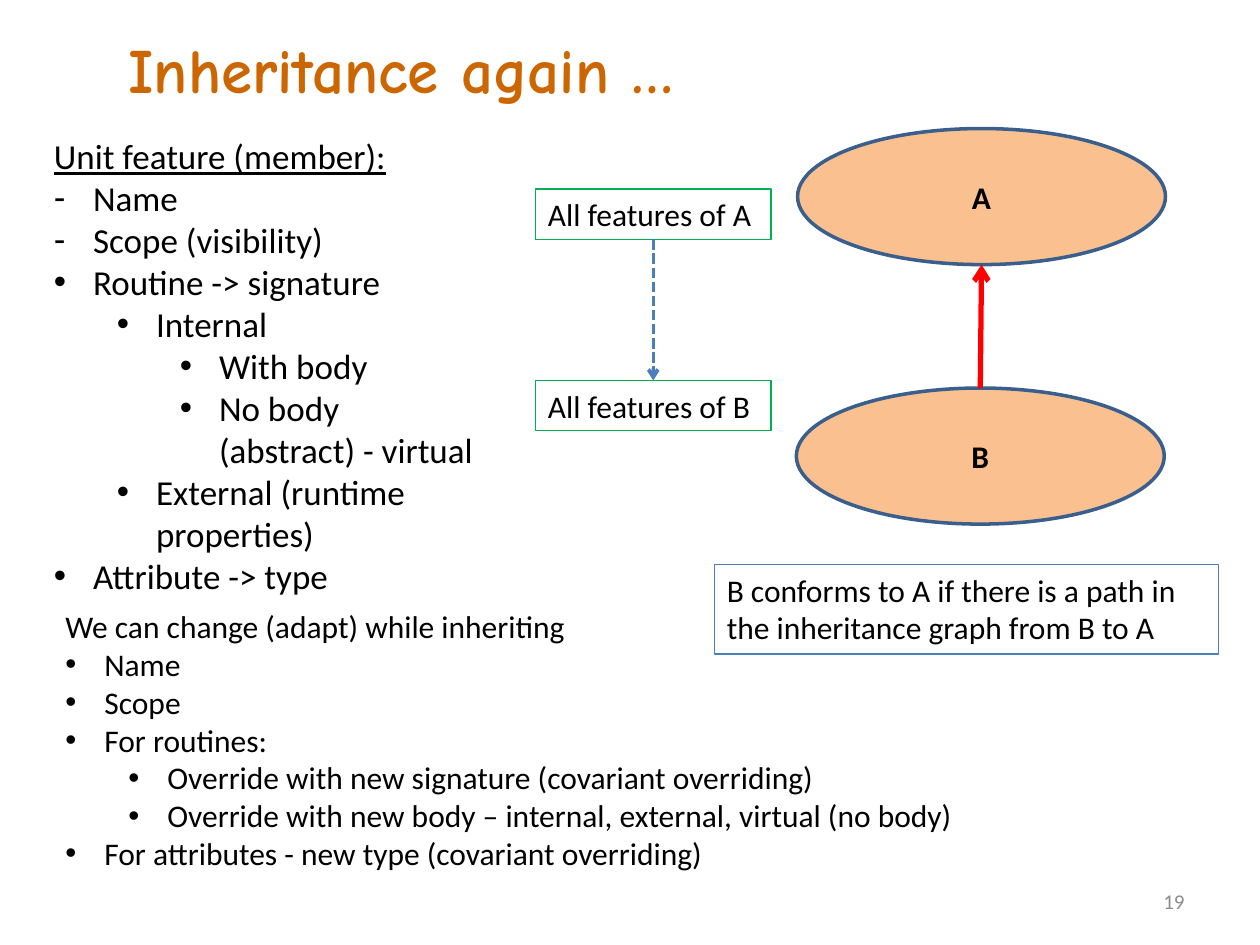
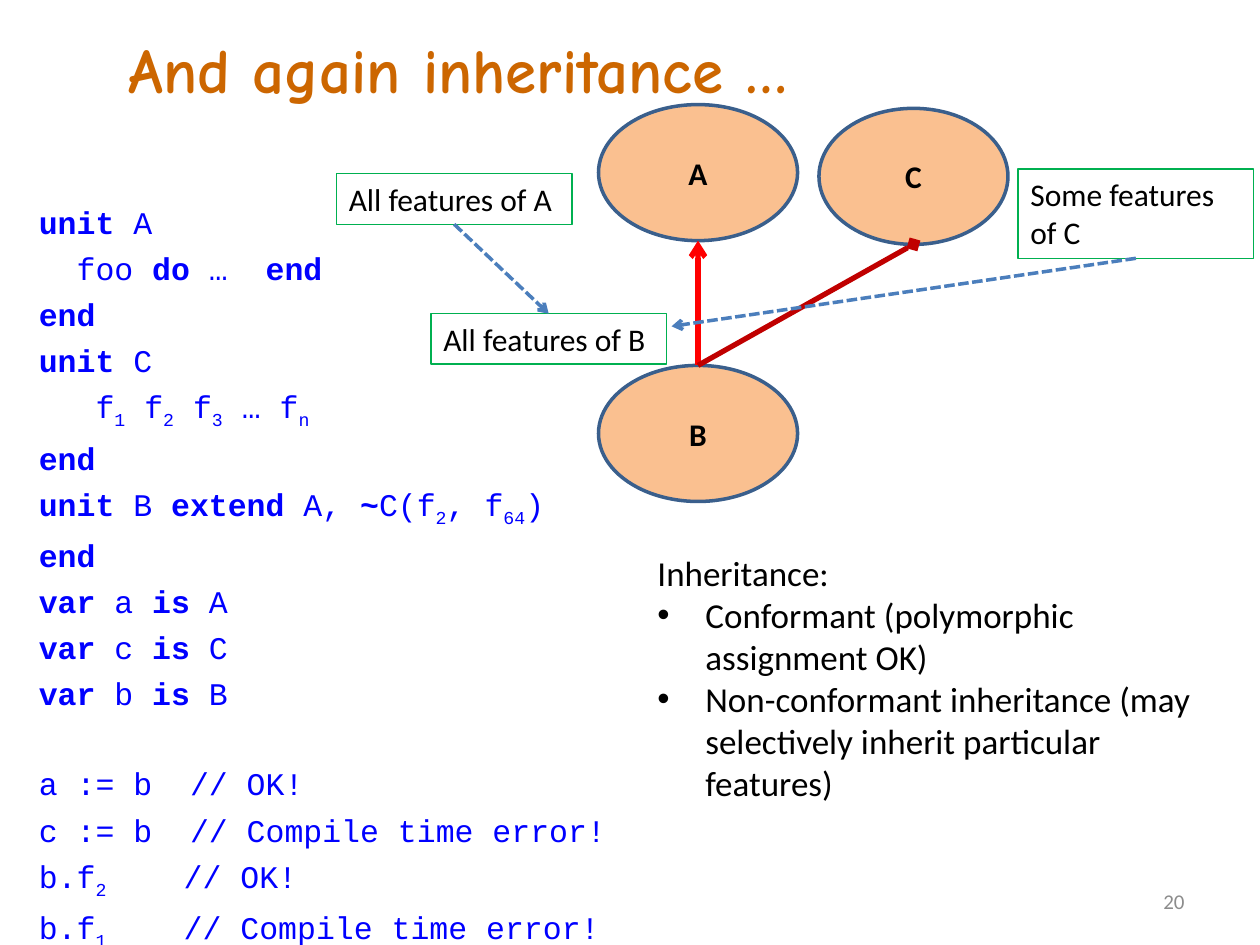
from dataclasses import dataclass
from typing import NamedTuple, Optional

import pptx
import pptx.dml.color
import pptx.enum.dml
import pptx.enum.shapes
import pptx.enum.text
import pptx.oxml.ns
import pptx.util
from lxml import etree

COLUMNS, ROWS = 100, 75
WIDTH, HEIGHT = pptx.util.Inches(10), pptx.util.Inches(7.5)
ALIGN = pptx.enum.text.PP_ALIGN
ANCHOR = pptx.enum.text.MSO_ANCHOR
DASH = pptx.enum.dml.MSO_LINE


@dataclass(frozen=True)
class Theme:
    body_font: str = "Calibri"
    title_font: str = "Comic Neue"
    code_font: str = "Courier New"
    title: str = "CC6600"
    text: str = "000000"
    code: str = "0000FF"
    page: str = "8C8C8C"
    node: str = "FAC090"
    node_edge: str = "3A5F8C"
    feature_edge: str = "00B050"
    flow: str = "4B7EBC"
    inherit: str = "FF0000"
    non_conformant: str = "C00000"
    title_size: float = 36
    list_size: float = 20
    body_size: float = 18
    page_size: float = 12
    code_gap: float = 4.75
    code_line: float = 20.4
    thin: float = 0.75
    medium: float = 2
    thick: float = 3


THEME = Theme()


class Point(NamedTuple):
    x: float
    y: float


class Box(NamedTuple):
    """A rectangle in grid columns and rows."""
    left: float
    top: float
    width: float
    height: float

    def upper(self) -> Point:
        return Point(self.left + self.width / 2, self.top)

    def lower(self) -> Point:
        return Point(self.left + self.width / 2, self.top + self.height)


class Style(NamedTuple):
    size: float = THEME.body_size
    color: str = THEME.text
    font: str = THEME.body_font
    bold: bool = False
    underline: bool = False


class Item(NamedTuple):
    text: str
    level: int = 0
    bullet: str = "•"


class Node(NamedTuple):
    name: str
    box: Box


class Label(NamedTuple):
    text: str
    box: Box
    edge: str = THEME.feature_edge


class Arrow(NamedTuple):
    start: Point
    end: Point
    color: str = THEME.flow
    width: float = THEME.medium
    head: str = "arrow"
    dashed: bool = True


class Bullets(NamedTuple):
    heading: str
    items: list[Item]
    box: Box
    size: float = THEME.body_size
    indent: float = 0.31
    underline: bool = False


class Page(NamedTuple):
    title: str
    number: int
    nodes: list[Node]
    labels: list[Label]
    arrows: list[Arrow]
    lists: list[Bullets]
    code: Optional[str] = None


def x(columns: float) -> int:
    return round(WIDTH * columns / COLUMNS)


def y(rows: float) -> int:
    return round(HEIGHT * rows / ROWS)


def place(box: Box) -> tuple[int, int, int, int]:
    return x(box.left), y(box.top), x(box.width), y(box.height)


def rgb(color: str) -> pptx.dml.color.RGBColor:
    return pptx.dml.color.RGBColor.from_string(color)


def set_line(line, color: str, width: float) -> None:
    line.color.rgb = rgb(color)
    line.width = pptx.util.Pt(width)


def add_run(p, text: str, style: Style):
    r = p.add_run()
    r.text = text
    r.font.name = style.font
    r.font.size = pptx.util.Pt(style.size)
    r.font.bold = style.bold
    r.font.underline = style.underline
    r.font.color.rgb = rgb(style.color)
    return r


def add_text(slide, box: Box, text: str, style: Style,
             align=ALIGN.LEFT, anchor=ANCHOR.TOP):
    sp = slide.shapes.add_textbox(*place(box))
    tf = sp.text_frame
    tf.word_wrap = True
    tf.vertical_anchor = anchor
    p = tf.paragraphs[0]
    p.alignment = align
    if text:
        add_run(p, text, style)
    return sp


def add_node(slide, node: Node) -> None:
    sp = slide.shapes.add_shape(pptx.enum.shapes.MSO_SHAPE.OVAL, *place(node.box))
    sp.shadow.inherit = False
    sp.fill.solid()
    sp.fill.fore_color.rgb = rgb(THEME.node)
    set_line(sp.line, THEME.node_edge, THEME.medium)
    tf = sp.text_frame
    tf.vertical_anchor = ANCHOR.MIDDLE
    p = tf.paragraphs[0]
    p.alignment = ALIGN.CENTER
    add_run(p, node.name, Style(bold=True))


def add_label(slide, label: Label) -> None:
    sp = add_text(slide, label.box, label.text, Style())
    set_line(sp.line, label.edge, THEME.thin)


def add_arrow(slide, arrow: Arrow) -> None:
    (x1, y1), (x2, y2) = arrow.start, arrow.end
    sp = slide.shapes.add_connector(
        pptx.enum.shapes.MSO_CONNECTOR.STRAIGHT, x(x1), y(y1), x(x2), y(y2))
    set_line(sp.line, arrow.color, arrow.width)
    if arrow.dashed:
        sp.line.dash_style = DASH.SQUARE_DOT
    qn = pptx.oxml.ns.qn
    etree.SubElement(sp.line._get_or_add_ln(), qn("a:tailEnd"), type=arrow.head)
    etree.SubElement(sp._element.spPr, qn("a:effectLst"))


def set_bullet(p, item: Item, indent: float) -> None:
    p.level = item.level
    pPr = p._p.get_or_add_pPr()
    pPr.set("marL", str(pptx.util.Inches(indent + 0.5 * item.level)))
    pPr.set("indent", str(-pptx.util.Inches(indent)))
    qn = pptx.oxml.ns.qn
    etree.SubElement(pPr, qn("a:buFont"), typeface="Arial")
    etree.SubElement(pPr, qn("a:buChar"), char=item.bullet)


def add_bullets(slide, block: Bullets) -> None:
    style = Style(block.size)
    sp = add_text(slide, block.box, block.heading,
                  style._replace(underline=block.underline))
    for item in block.items:
        p = sp.text_frame.add_paragraph()
        set_bullet(p, item, block.indent)
        add_run(p, item.text, style)


def add_code(slide, box: Box, code: str) -> None:
    """Set code lines; *...* marks bold, _..._ a subscript, an empty line a gap."""
    style = Style(color=THEME.code, font=THEME.code_font)
    tf = add_text(slide, box, "", style).text_frame
    p, gap = tf.paragraphs[0], 0
    for line in code.strip("\n").split("\n"):
        if not line:
            gap += THEME.code_line + THEME.code_gap
            continue
        if p is None:
            p = tf.add_paragraph()
        p.space_before = pptx.util.Pt(gap)
        for i, part in enumerate(line.split("*")):
            for j, piece in enumerate(part.split("_")):
                if piece:
                    r = add_run(p, piece, style._replace(bold=i % 2 == 1))
                    if j % 2:
                        r.font._element.set("baseline", "-25000")
        p, gap = None, THEME.code_gap


def add_page(prs, page: Page) -> None:
    slide = prs.slides.add_slide(prs.slide_layouts[6])
    add_text(slide, Box(9.2, 1.9, 88.8, 6.4), page.title,
             Style(THEME.title_size, THEME.title, THEME.title_font, bold=True))
    for node in page.nodes:
        add_node(slide, node)
    for label in page.labels:
        add_label(slide, label)
    for arrow in page.arrows:
        add_arrow(slide, arrow)
    for block in page.lists:
        add_bullets(slide, block)
    if page.code:
        add_code(slide, Box(2.1, 15.6, 49.2, 58), page.code)
    add_text(slide, Box(89.2, 69.5, 5.8, 4), str(page.number),
             Style(THEME.page_size, THEME.page), ALIGN.RIGHT, ANCHOR.MIDDLE)


def inheritance_page() -> Page:
    a, b = Box(63.3, 10.2, 29.2, 10.8), Box(63.2, 30.8, 29.2, 10.8)
    of_a, of_b = Box(42.5, 15, 18.7, 4), Box(42.5, 30.2, 18.7, 4)
    member = [Item("Name", 0, "-"), Item("Scope (visibility)", 0, "-"),
              Item("Routine -> signature"), Item("Internal", 1), Item("With body", 2),
              Item("No body (abstract) - virtual", 2),
              Item("External (runtime properties)", 1), Item("Attribute -> type")]
    adapt = [Item("Name"), Item("Scope"), Item("For routines:"),
             Item("Override with new signature (covariant overriding)", 1),
             Item("Override with new body – internal, external, virtual (no body)", 1),
             Item("For attributes - new type (covariant overriding)")]
    return Page(
        "Inheritance again …", 19,
        [Node("B", b), Node("A", a)],
        [Label("All features of A", of_a), Label("All features of B", of_b),
         Label("B conforms to A if there is a path in the inheritance graph from B to A",
               Box(56.7, 44.8, 40, 7.1), THEME.flow)],
        [Arrow(b.upper(), a.lower(), THEME.inherit, THEME.thick, dashed=False),
         Arrow(of_a.lower(), of_b.upper())],
        [Bullets("Unit feature (member):", member, Box(3.3, 10.2, 35.8, 38),
                 THEME.list_size, underline=True),
         Bullets("We can change (adapt) while inheriting", adapt,
                 Box(4.2, 47.7, 85.8, 22.2))])


CODE = """
*unit *A
  foo *do* …  *end*
*end*
*unit *C
   f_1_ f_2_ f_3_ … f_n_
*end*
*unit *B* extend *A,* ~*C(f_2_, f_64_)
*end*
*var* a *is* A
*var* c *is* C
*var* b *is* B

a := b  // OK!
c := b  // Compile time error!
b.f_2 \t_ // OK!
b.f_1 \t_ // Compile time error!
"""


def multiple_inheritance_page() -> Page:
    a, b = Box(47.5, 8.3, 15.8, 10.8), Box(47.5, 29, 15.8, 10.8)
    c = Box(65, 8.6, 15, 10.8)
    of_a, of_b = Box(26.7, 13.8, 18.7, 4), Box(34.2, 24.9, 18.7, 4)
    of_c = Box(80.8, 13.4, 18.7, 7.1)
    kinds = [Item("Conformant (polymorphic assignment OK)"),
             Item("Non-conformant inheritance (may selectively inherit particular features)")]
    return Page(
        "And again inheritance …", 20,
        [Node("B", b), Node("A", a), Node("C", c)],
        [Label("All features of A", of_a), Label("All features of B", of_b),
         Label("Some features of C", of_c)],
        [Arrow(b.upper(), a.lower(), THEME.inherit, THEME.thick, dashed=False),
         Arrow(b.upper(), c.lower(), THEME.non_conformant, THEME.thick, "diamond", False),
         Arrow(of_a.lower(), of_b.upper()),
         Arrow(of_c.lower(), Point(53.3, 25.9))],
        [Bullets("Inheritance:", kinds, Box(51.2, 43.3, 44.6, 21.2),
                 THEME.list_size, 0.38)],
        CODE)


def main() -> None:
    prs = pptx.Presentation()
    prs.slide_width, prs.slide_height = WIDTH, HEIGHT
    for page in (inheritance_page(), multiple_inheritance_page()):
        add_page(prs, page)
    prs.save("out.pptx")


if __name__ == "__main__":
    main()
